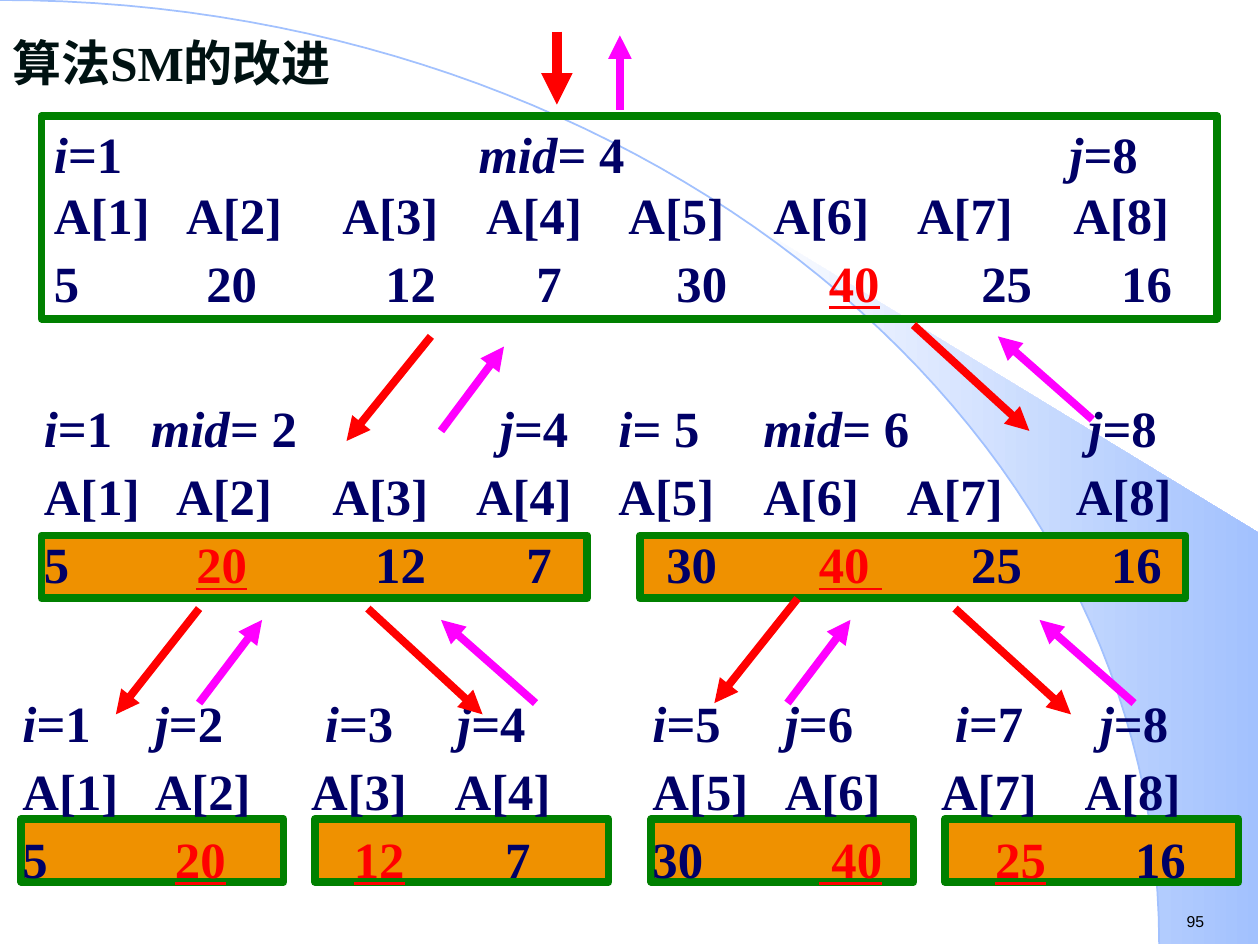
from lxml import etree
from pptx import Presentation
from pptx import util as u
from pptx.dml import color
from pptx.enum import shapes, text
from pptx.oxml import ns

HUES = {"navy": "000066", "red": "FF0000", "pink": "FF00FF", "green": "008000",
        "gold": "EF9100", "sky": "A2C1FE", "white": "FFFFFF", "ink": "001212",
        "black": "000000"}
SERIF = "Times New Roman"
INDEX = [1.05, 2.29, 3.43, 4.56, 5.71, 6.85]
VALUE = [1.21, 2.63, 3.83, 4.94, 6.15, 7.36, 8.47]


def hue(name):
    """Return the named colour."""
    return color.RGBColor.from_string(HUES[name])


def sub(node, tag, **attrs):
    """Add a drawing child element."""
    return etree.SubElement(node, ns.qn("a:" + tag), attrs)


def add_run(para, words, tone="navy", size=29, face=SERIF, bold=True):
    """Add one styled run and return it."""
    run = para.add_run()
    run.text = words
    font = run.font
    font.size, font.name, font.bold = u.Pt(size), face, bold
    font.color.rgb = hue(tone)
    return run


def add_cell(para, cell):
    """Write a cell: name=value has an italic name, and _value is marked red."""
    if "=" in cell:
        name, rest = cell.split("=")
        add_run(para, name).font.italic = True
        add_run(para, "=" + rest)
    elif cell.startswith("_"):
        add_run(para, cell[1:], "red").font.underline = True
    else:
        add_run(para, cell)


def set_frame(frame, anchor=text.MSO_ANCHOR.TOP, wrap=True):
    """Give a text frame its margins, wrap and anchor."""
    frame.margin_left = frame.margin_right = u.Inches(0.1)
    frame.margin_top = frame.margin_bottom = u.Inches(0.05)
    frame.word_wrap, frame.vertical_anchor = wrap, anchor
    frame.auto_size = text.MSO_AUTO_SIZE.NONE


def fill_rows(frame, rows):
    """Write rows of (cells, tab stops, line pitch, space before)."""
    set_frame(frame)
    for num, (cells, stops, pitch, gap) in enumerate(rows):
        para = frame.add_paragraph() if num else frame.paragraphs[0]
        tabs = sub(para._p.get_or_add_pPr(), "tabLst")
        for stop in stops[:len(cells) - 1]:
            sub(tabs, "tab", pos=str(u.Inches(stop)), algn="l")
        para.alignment = text.PP_ALIGN.LEFT
        para.line_spacing, para.space_before = u.Pt(pitch), u.Pt(gap)
        for col, cell in enumerate(cells):
            if col:
                add_run(para, "\t")
            add_cell(para, cell)


def add_frame(slide, box, tone=None):
    """Add a green-edged rectangle."""
    rect = slide.shapes.add_shape(shapes.MSO_SHAPE.RECTANGLE, *map(u.Inches, box))
    rect.shadow.inherit = False
    if tone:
        rect.fill.solid()
        rect.fill.fore_color.rgb = hue(tone)
    else:
        rect.fill.background()
    rect.line.color.rgb, rect.line.width = hue("green"), u.Pt(4.5)
    return rect


def add_arrow(slide, ends, tone, width=4.5):
    """Add an arrow from the first point to the second."""
    link = slide.shapes.add_connector(shapes.MSO_CONNECTOR.STRAIGHT,
                                      *map(u.Inches, ends))
    link.line.color.rgb, link.line.width = hue(tone), u.Pt(width)
    sub(link.line._get_or_add_ln(), "tailEnd", type="triangle")
    sub(link._element.spPr, "effectLst")


def arc_point(t):
    """Return a point on the backdrop curve."""
    s = 1 - t
    return (u.Inches(15.24 * t * s * s + 27.6 * t * t * s + 9.2 * t ** 3),
            u.Inches(10.05 * t * t * s + 7.49 * t ** 3))


def add_path(slide, points, close):
    """Add an outline through the points."""
    pen = slide.shapes.build_freeform(*points[0], scale=1.0)
    pen.add_line_segments(points[1:], close=close)
    path = pen.convert_to_shape()
    path.shadow.inherit = False
    return path


def add_back(slide):
    """Draw the shaded wedge and the long arc."""
    edge = [arc_point(0.44 + 0.02 * n) for n in range(29)]
    corner = [(u.Inches(9.99), u.Inches(y)) for y in (7.49, 4.23)]
    wedge = add_path(slide, edge + corner, True)
    wedge.line.fill.background()
    wedge.fill.gradient()
    wedge.fill.gradient_angle = 0
    for stop, tone in zip(wedge.fill.gradient_stops, ("white", "sky")):
        stop.color.rgb = hue(tone)
    arc = add_path(slide, [arc_point(n / 60) for n in range(61)], False)
    arc.fill.background()
    arc.line.color.rgb, arc.line.width = hue("sky"), u.Pt(1)


def add_title(slide, box):
    """Place and style the title."""
    title = slide.shapes.title
    title.left, title.top, title.width, title.height = map(u.Inches, box)
    set_frame(title.text_frame)
    para = title.text_frame.paragraphs[0]
    para.alignment = text.PP_ALIGN.LEFT
    add_run(para, "算法SM的改进", "ink", 28)


def add_page(slide, box):
    """Place the page number."""
    frame = slide.shapes.add_textbox(*map(u.Inches, box)).text_frame
    set_frame(frame, wrap=False)
    add_run(frame.paragraphs[0], "95", "black", 9, "Arial", False)


def names(first, last):
    """List the array labels in a range."""
    return [f"A[{n}]" for n in range(first, last + 1)]


def add_root(slide, box):
    """Draw the full array in its frame."""
    fill_rows(add_frame(slide, box).text_frame, [
        (["i=1", "mid= 4", "j=8"], [3.37, 8.06], 35, 0),
        (names(1, 8), INDEX + [8.09], 35, 0),
        (["5", "20", "12", "7", "30", "_40", "25", "16"], VALUE, 31.4, 7.3)])


def add_level(slide, box, bars, rows):
    """Draw a level of split arrays with bars behind the values."""
    left, top, _, _ = box
    for shift, wide in bars:
        add_frame(slide, (left + shift, top + 1.1 - 0.09 * (top > 5),
                          wide, 0.5), "gold")
    frame = slide.shapes.add_textbox(*map(u.Inches, box)).text_frame
    fill_rows(frame, [(cells, stops, 31.4, 7.3 * (num > 0))
                      for num, (cells, stops) in enumerate(rows)])


def main():
    """Build and save the slide."""
    deck = Presentation()
    deck.slide_width, deck.slide_height = u.Inches(10), u.Inches(7.5)
    slide = deck.slides.add_slide(deck.slide_layouts[5])
    add_back(slide)
    add_page(slide, (9.32, 7.19, 0.77, 0.25))
    add_arrow(slide, (3, 2.58, 3, 2.58), "black", 0.75)
    add_root(slide, (0.33, 0.92, 9.33, 1.61))
    add_level(slide, (0.25, 3.15, 9.33, 1.61), [(4.83, 4.33), (0.08, 4.33)], [
        (["i=1", "mid= 2", "j=4", "i= 5", "mid= 6", "j=8"],
         [0.85, 3.62, 4.56, 5.71, 8.29]),
        (names(1, 8), INDEX + [8.19]),
        (["5", "_20", "12", "7", "30", "_40 ", "25", "16"], VALUE)])
    leaves = [(0.08, 1, 3.45, ["5", "_20", "_12", "7"], VALUE),
              (5.08, 5, 3.55, ["30", "_ 40", "_25", "16"], [1.32, 2.72, 3.83])]
    for left, low, last, values, stops in leaves:
        heads = [f"{name}={low + n}" for n, name in enumerate("ijij")]
        add_level(slide, (left, 5.49, 4.75, 1.61), [(0.09, 2.08), (2.42, 2.33)], [
            (heads, [1.05, 2.4, last]), (names(low, low + 3), INDEX),
            (values, stops)])
    downs = [(3.42, 2.67, 2.75, 3.5), (7.25, 2.58, 8.17, 3.42),
             (1.58, 4.83, 0.92, 5.67), (2.92, 4.83, 3.83, 5.67),
             (7.58, 4.83, 8.5, 5.67), (6.33, 4.75, 5.67, 5.58)]
    ups = [(1.58, 5.58, 2.08, 4.92), (6.25, 5.58, 6.75, 4.92),
           (4.25, 5.58, 3.5, 4.92), (9, 5.58, 8.25, 4.92),
           (3.5, 3.42, 4, 2.75), (8.67, 3.33, 7.92, 2.67),
           (4.92, 0.87, 4.92, 0.28)]
    for tone, group in (("red", downs), ("pink", ups)):
        for ends in group:
            add_arrow(slide, ends, tone)
    add_arrow(slide, (4.42, 0.25, 4.42, 0.83), "red", 6)
    add_title(slide, (0, 0.21, 3.82, 0.57))
    deck.save("out.pptx")


if __name__ == "__main__":
    main()
